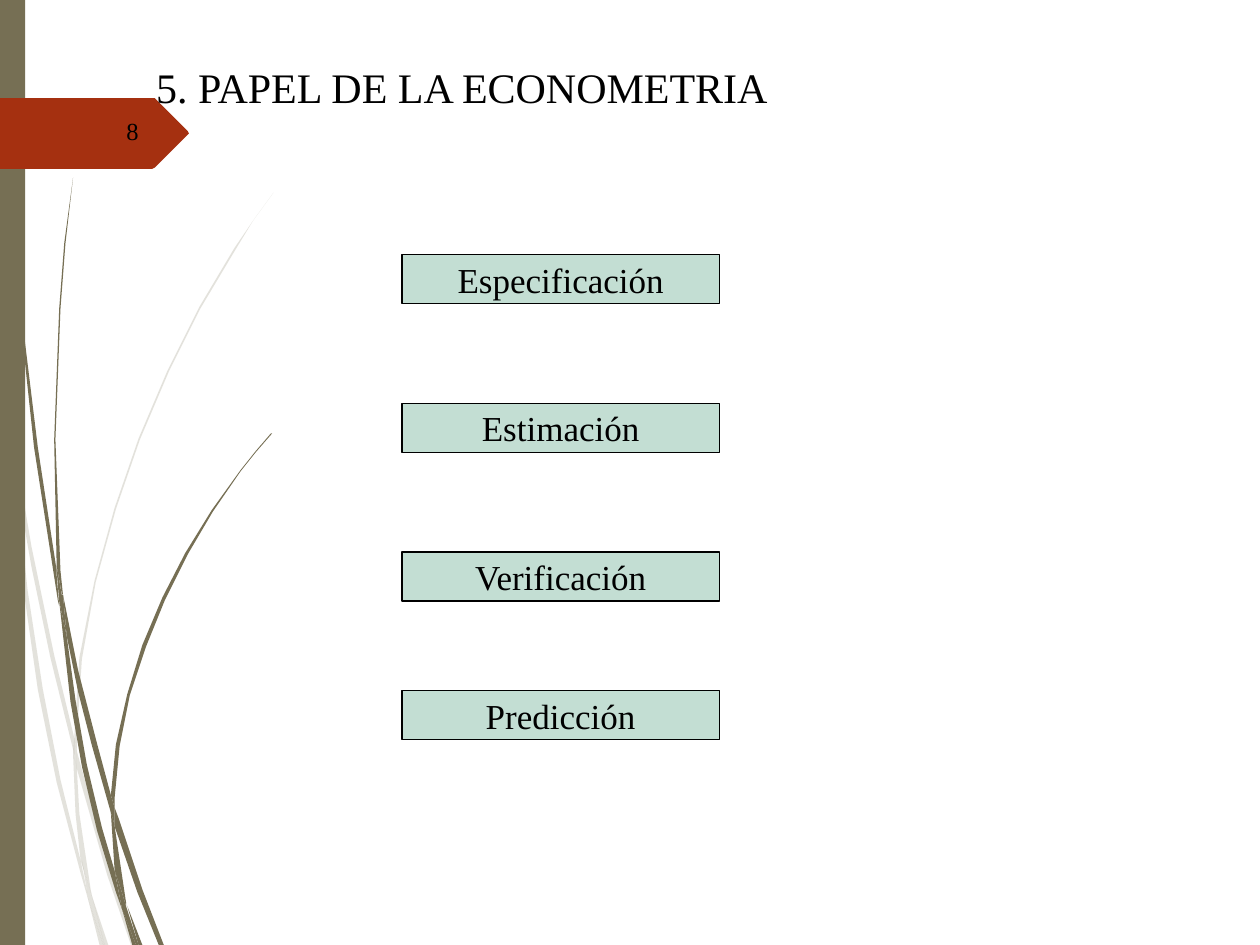
from dataclasses import dataclass
from lxml.etree import SubElement
from pptx import Presentation
from pptx.dml.color import RGBColor as Color
from pptx.enum.shapes import MSO_SHAPE as Shape
from pptx.enum.text import MSO_ANCHOR as Anchor, PP_ALIGN as Align
from pptx.oxml.ns import qn
from pptx.util import Inches, Pt


@dataclass(frozen=True)
class Theme:
    font: str = "Times New Roman"
    ink: Color = Color.from_string("000000")
    olive: Color = Color.from_string("766F54")
    rust: Color = Color.from_string("A53010")
    mint: Color = Color.from_string("C3DED3")
    title_size: int = 24
    step_size: int = 20
    number_size: int = 14
    faint_alpha: int = 20


theme = Theme()
COLUMNS, ROWS = 1000, 750

deck = Presentation()
deck.slide_width, deck.slide_height = Inches(10), Inches(7.5)
CELL = deck.slide_width // COLUMNS
page = deck.slides.add_slide(deck.slide_layouts[6])


def draw_outline(shapes, points, color, alpha=100):
    builder = shapes.build_freeform(*points[0], scale=CELL)
    builder.add_line_segments(points[1:], close=True)
    outline = builder.convert_to_shape()
    outline.shadow.inherit = False
    outline.fill.solid()
    outline.fill.fore_color.rgb = color
    outline.line.fill.background()
    if alpha < 100:
        tint = outline.fill._xPr.find(qn("a:solidFill"))[0]
        SubElement(tint, qn("a:alpha")).set("val", str(alpha * 1000))


def write_text(box, text, size, align=Align.LEFT, anchor=Anchor.TOP, wrap=False):
    frame = box.text_frame
    frame.word_wrap = wrap
    frame.vertical_anchor = anchor
    para = frame.paragraphs[0]
    para.text = text
    para.alignment = align
    para.font.name = theme.font
    para.font.size = Pt(size)
    para.font.color.rgb = theme.ink
    return para


faint_blades = [
    [(8, 350), (6, 322), (0, 282), (0, 299), (7, 344)],
    [(40, 522), (59, 599), (59, 586), (43, 520), (25, 434), (10, 345),
     (12, 376), (25, 450)],
    [(64, 607), (61, 596), (61, 610), (85, 694), (104, 750), (108, 750),
     (88, 692)],
    [(83, 750), (86, 750), (73, 711)],
    [(64, 683), (48, 619), (34, 547), (22, 469), (12, 376), (8, 350), (19, 470),
     (30, 547), (45, 621), (64, 693), (70, 714), (69, 707)],
    [(58, 599), (60, 646), (64, 683), (67, 692), (73, 711), (72, 706),
     (63, 646), (61, 610), (61, 608)],
    [(61, 584), (65, 523), (76, 462), (92, 404), (111, 349), (134, 295),
     (159, 245), (187, 198), (201, 175), (217, 153), (201, 175), (186, 197),
     (158, 244), (133, 294), (110, 348), (91, 403), (75, 461), (63, 522),
     (59, 584), (59, 586), (61, 596)],
    [(70, 714), (79, 750), (82, 750)],
    [(61, 608), (61, 610), (61, 596), (59, 586), (58, 599)],
    [(67, 692), (65, 683), (69, 707), (70, 714), (82, 750), (83, 750), (73, 711)],
]
solid_blades = [
    [(5, 110), (14, 233), (27, 355), (46, 477), (47, 481), (45, 457), (45, 453),
     (30, 355), (15, 232), (6, 109), (4, 48), (3, 0), (2, 0), (3, 48)],
    [(73, 592), (88, 645), (88, 633), (88, 631), (77, 590), (62, 532),
     (50, 472), (53, 505), (62, 549)],
    [(94, 649), (91, 641), (91, 656), (109, 708), (126, 750), (130, 750),
     (113, 706)],
    [(91, 691), (81, 657), (69, 607), (60, 556), (53, 505), (47, 477),
     (56, 557), (65, 608), (77, 659), (92, 708), (97, 722), (96, 717)],
    [(50, 472), (48, 453), (44, 349), (48, 245), (52, 193), (58, 141),
     (51, 193), (47, 245), (43, 349), (45, 449), (49, 471)],
    [(110, 750), (113, 750), (101, 719)],
    [(47, 477), (53, 505), (50, 472), (49, 472), (45, 449), (45, 453)],
    [(91, 633), (95, 592), (103, 552), (116, 513), (131, 476), (149, 440),
     (169, 406), (191, 374), (203, 359), (216, 344), (215, 344), (203, 358),
     (191, 373), (168, 405), (147, 439), (129, 474), (113, 512), (101, 551),
     (92, 591), (88, 631), (91, 641)],
    [(97, 722), (105, 750), (108, 750)],
    [(88, 645), (91, 691), (96, 706), (100, 719), (100, 716), (91, 656),
     (90, 651)],
    [(88, 645), (90, 651), (91, 656), (91, 641), (88, 631), (88, 633)],
    [(96, 706), (91, 691), (96, 717), (97, 722), (108, 750), (110, 750),
     (100, 719)],
]
for blades, alpha in ((faint_blades, theme.faint_alpha), (solid_blades, 100)):
    tuft = page.shapes.add_group_shape()
    for blade in blades:
        draw_outline(tuft.shapes, blade, theme.olive, alpha)

side_band = page.shapes.add_shape(Shape.RECTANGLE, 0, 0, 20 * CELL, ROWS * CELL)
side_band.shadow.inherit = False
side_band.fill.solid()
side_band.fill.fore_color.rgb = theme.olive
side_band.line.fill.background()

page_tag = [(149, 107), (124, 132), (123, 133), (121, 133.5), (0, 133.5),
            (0, 78), (121, 78), (123, 78.5), (124, 79), (149, 104),
            (149.5, 105.5)]
draw_outline(page.shapes, page_tag, theme.rust)

number_box = page.shapes.add_textbox(56 * CELL, 86 * CELL, 64 * CELL, 40 * CELL)
number_para = write_text(number_box, "8", theme.number_size, Align.RIGHT,
                         Anchor.MIDDLE, wrap=True)
number_para.line_spacing = 0.8

title_box = page.shapes.add_textbox(114 * CELL, 44 * CELL, 511 * CELL, 50 * CELL)
write_text(title_box, "5. PAPEL DE LA ECONOMETRIA", theme.title_size)

steps = {"Especificación": 202, "Estimación": 320, "Verificación": 438,
         "Predicción": 548}
for step, row in steps.items():
    step_box = page.shapes.add_shape(Shape.RECTANGLE, 319 * CELL, row * CELL,
                                     252 * CELL, 39 * CELL)
    step_box.shadow.inherit = False
    step_box.fill.solid()
    step_box.fill.fore_color.rgb = theme.mint
    step_box.line.color.rgb = theme.ink
    step_box.line.width = Pt(0.75)
    write_text(step_box, step, theme.step_size, Align.CENTER, Anchor.MIDDLE)

deck.save("out.pptx")
